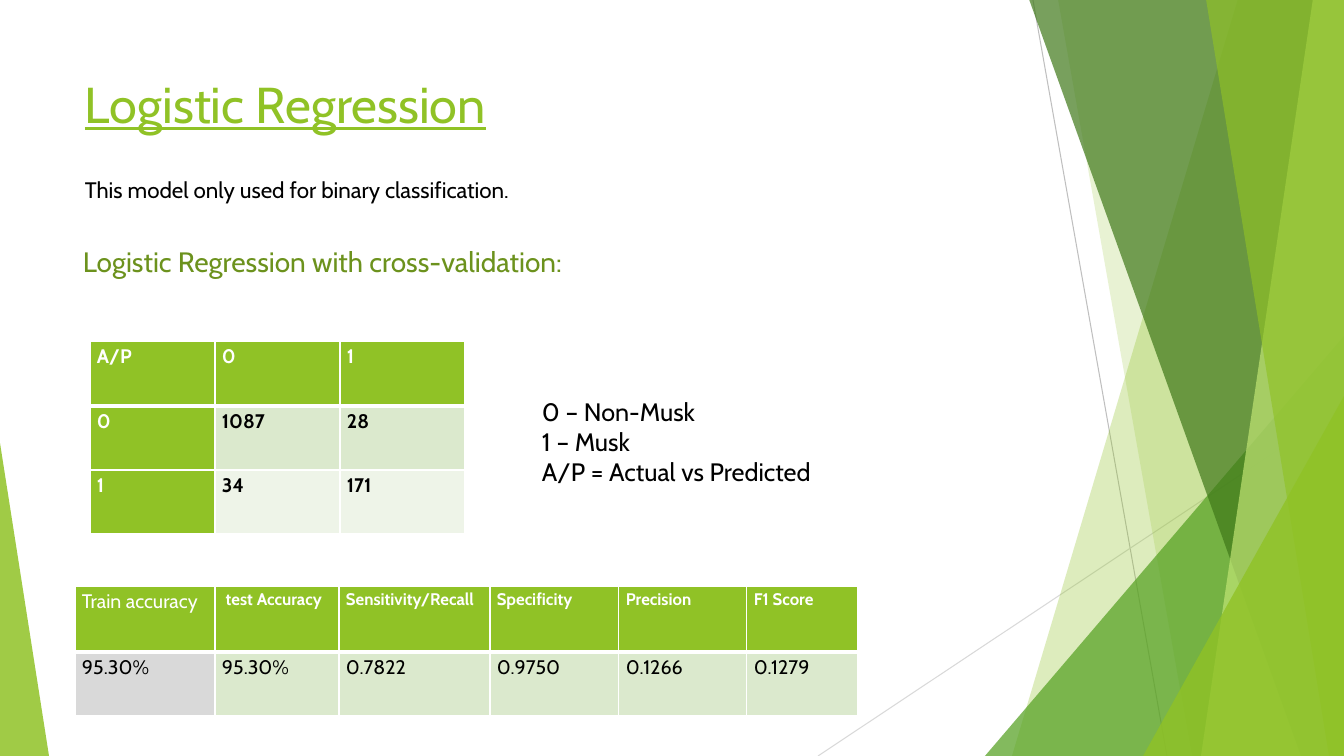
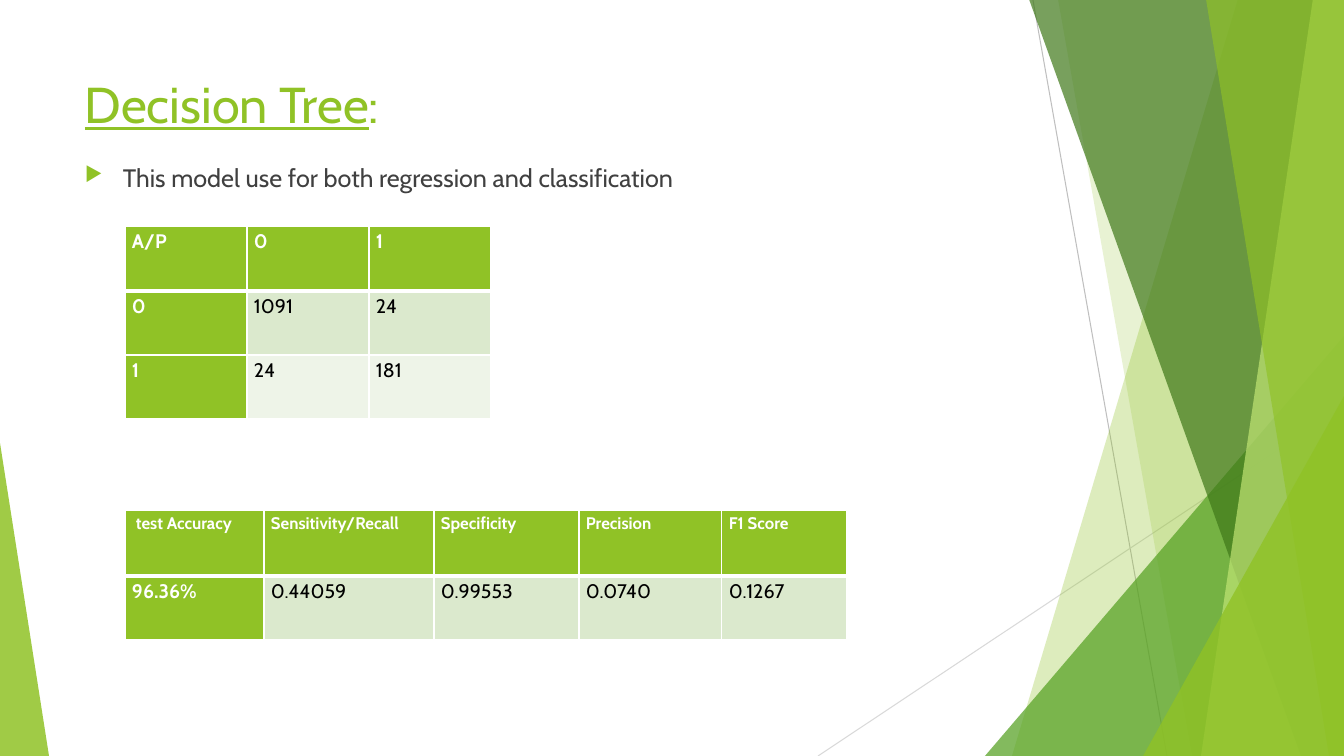
from lxml.etree import SubElement
from pptx import Presentation
from pptx.dml.color import RGBColor
from pptx.enum.shapes import MSO_CONNECTOR as CONN, MSO_SHAPE as SHAPE
from pptx.enum.text import MSO_ANCHOR as ANCHOR, MSO_AUTO_SIZE as AUTO
from pptx.oxml.ns import qn
from pptx.util import Emu, Pt

WIDTH, HEIGHT = 1344, 756
SCALE = 914400 / 100.8
FONT = "Cabin"
GREEN, MID_GREEN, DARK_GREEN, PALE_GREEN = "90C226", "54A021", "3F7819", "C0E474"
OLIVE, BLACK, WHITE, GREY_TEXT = "6C921D", "000000", "FFFFFF", "404040"
LABEL_GREY = "D9D9D9"
BANDS = ["DBE9CD", "EEF4E8"]
MATRIX_ROWS = [65, 64, 64]
SCORE_ROWS = [66, 64]


def px(n):
    """Turn picture pixels into EMU."""
    return Emu(round(n * SCALE))


def rgb(color):
    """Turn a hex string into a colour."""
    return RGBColor.from_string(color)


def style(r, size, color, bold=False, underline=False):
    """Format one run."""
    f = r.font
    f.name, f.size, f.bold, f.underline = FONT, Pt(size), bold, underline
    f.color.rgb = rgb(color)


def paint(sp, color, opacity):
    """Give a shape a see-through fill without line or shadow."""
    sp.shadow.inherit = False
    sp.fill.solid()
    sp.fill.fore_color.rgb = rgb(color)
    sp.line.fill.background()
    clr = sp._element.spPr.find(qn("a:solidFill")).find(qn("a:srgbClr"))
    SubElement(clr, qn("a:alpha"), val=str(opacity * 1000))


def line(s, x1, y1, x2, y2, color):
    """Draw a thin straight line."""
    c = s.shapes.add_connector(CONN.STRAIGHT, px(x1), px(y1), px(x2), px(y2))
    c.line.color.rgb = rgb(color)
    c.line.width = Pt(0.75)
    SubElement(c._element.spPr, qn("a:effectLst"))


def shard(s, top, bottom, color, opacity):
    """Fill the area between a slanted edge and the right slide edge."""
    fb = s.shapes.build_freeform(px(top), px(-1), scale=1.0)
    corners = [(WIDTH, -1), (WIDTH, HEIGHT), (bottom, HEIGHT)]
    fb.add_line_segments([(px(x), px(y)) for x, y in corners], close=True)
    paint(fb.convert_to_shape(), color, opacity)


def wedge(s, x, y, w, apex, color, opacity):
    """Draw a triangle that stands on the bottom slide edge."""
    sp = s.shapes.add_shape(SHAPE.ISOSCELES_TRIANGLE, px(x), px(y), px(w), px(HEIGHT - y))
    sp.adjustments[0] = apex
    paint(sp, color, opacity)


def decorate(s):
    """Draw the green facets shared by all slides."""
    line(s, 1033, 0, 1167, HEIGHT, "BFBFBF")
    line(s, WIDTH, 406, 818, HEIGHT, "D9D9D9")
    shard(s, 1238, 1012, GREEN, 30)
    shard(s, 1058, 1192, GREEN, 20)
    wedge(s, 985, 336, 359, 1, MID_GREEN, 72)
    shard(s, 1029, 1301, DARK_GREEN, 70)
    shard(s, 1313, 1201, PALE_GREEN, 70)
    shard(s, 1206, 1329, GREEN, 65)
    wedge(s, 1143, 396, 201, 1, GREEN, 80)
    wedge(s, 0, 443, 49, 0, GREEN, 85)


def text(s, x, y, w, h, lines, size, color, grow=True):
    """Add a wrapping text box and return its frame."""
    tf = s.shapes.add_textbox(px(x), px(y), px(w), px(h)).text_frame
    tf.word_wrap = True
    tf.auto_size = AUTO.SHAPE_TO_FIT_TEXT if grow else AUTO.NONE
    tf.vertical_anchor = ANCHOR.TOP
    tf.text = "\n".join(lines)
    for p in tf.paragraphs:
        for r in p.runs:
            style(r, size, color)
    return tf


def title(s, words, tail=""):
    """Add the underlined title, with an optional plain tail."""
    p = text(s, 75, 68, 948, 145, [words], 36, GREEN, grow=False).paragraphs[0]
    p.runs[0].font.underline = True
    if tail:
        r = p.add_run()
        r.text = tail
        style(r, 36, GREEN)


def bullet(p):
    """Give a paragraph the green arrow bullet."""
    p.space_before = Pt(10)
    pPr = p._p.get_or_add_pPr()
    pPr.set("marL", str(px(38)))
    pPr.set("indent", str(px(-38)))
    SubElement(SubElement(pPr, qn("a:buClr")), qn("a:srgbClr"), val=GREEN)
    SubElement(pPr, qn("a:buSzPct"), val="80000")
    SubElement(pPr, qn("a:buChar"), char="▶")


def borders(cell, top, bottom):
    """Draw white cell borders, 1 pt at the sides."""
    tcPr = cell._tc.get_or_add_tcPr()
    for side, width in zip("LRTB", (1, 1, top, bottom)):
        ln = SubElement(tcPr, qn(f"a:ln{side}"), w=str(Pt(width)))
        SubElement(SubElement(ln, qn("a:solidFill")), qn("a:srgbClr"), val=WHITE)


def fill_cell(cell, value, fill, size, color, bold):
    """Write and colour one table cell."""
    cell.margin_left = cell.margin_right = px(7)
    cell.margin_top = cell.margin_bottom = 0
    cell.fill.solid()
    cell.fill.fore_color.rgb = rgb(fill)
    p = cell.text_frame.paragraphs[0]
    p.text = value
    p.line_spacing, p.space_after = 1.15, Pt(10)
    style(p.runs[0], size, color, bold)


def table(s, x, y, widths, heights, rows, head_size=14, bold_body=False):
    """Add a table with a green header row and green first column."""
    tb = s.shapes.add_table(len(rows), len(widths), px(x), px(y),
                            px(sum(widths)), px(sum(heights))).table
    for col, w in zip(tb.columns, widths):
        col.width = px(w)
    for i, (row, h) in enumerate(zip(rows, heights)):
        tb.rows[i].height = px(h)
        for j, value in enumerate(row):
            cell = tb.cell(i, j)
            borders(cell, 3 if i == 1 else 1, 3 if i == 0 else 1)
            size = 14 if i else head_size
            if i == 0 or j == 0:
                fill_cell(cell, value, GREEN, size, WHITE, True)
            else:
                fill_cell(cell, value, BANDS[i - 1], size, BLACK, bold_body)
    return tb


def matrix(s, x, y, width, counts, bold_body=False):
    """Add a confusion matrix for the classes 0 and 1."""
    rows = [["A/P", "0", "1"]] + [[str(i), *row] for i, row in enumerate(counts)]
    table(s, x, y, [width] * 3, MATRIX_ROWS, rows, bold_body=bold_body)


def scores(s, x, y, widths, values, extra=()):
    """Add a table of model scores."""
    head = [*extra, " test Accuracy", "Sensitivity/Recall", "Specificity",
            "Precision", "F1 Score"]
    return table(s, x, y, widths, SCORE_ROWS, [head, values], head_size=12)


def logistic_regression(s):
    """Fill the logistic regression slide."""
    title(s, "Logistic Regression")
    matrix(s, 90, 341, 125, [["1087", "28"], ["34", "171"]], bold_body=True)
    text(s, 75, 171, 1008, 37, ["This model only used for binary classification."], 16, BLACK)
    text(s, 73, 240, 782, 44, ["Logistic Regression with cross-validation:"], 20, OLIVE)
    text(s, 532, 391, 323, 102,
         ["0 – Non-Musk", "1 – Musk", "A/P = Actual vs Predicted"], 18, BLACK)
    tb = scores(s, 75, 586, [140, 124, 151, 129, 128, 111],
                ["95.30%", "95.30%", "0.7822", "0.9750", "0.1266", "0.1279"],
                extra=["Train accuracy"])
    fill_cell(tb.cell(0, 0), "Train accuracy", GREEN, 14, WHITE, False)
    fill_cell(tb.cell(1, 0), "95.30%", LABEL_GREY, 14, BLACK, False)


def decision_tree(s):
    """Fill the decision tree slide."""
    title(s, "Decision Tree", ":")
    tf = text(s, 75, 157, 948, 509,
              ["This model use for both regression and classification"],
              18, GREY_TEXT, grow=False)
    bullet(tf.paragraphs[0])
    matrix(s, 125, 226, 122, [["1091", "24"], ["24", "181"]])
    scores(s, 125, 510, [139, 170, 145, 143, 125],
           ["96.36%", "0.44059", "0.99553", "0.0740", "0.1267"])


def main():
    """Build and save the slides."""
    prs = Presentation()
    prs.slide_width, prs.slide_height = px(WIDTH), px(HEIGHT)
    for build in (logistic_regression, decision_tree):
        s = prs.slides.add_slide(prs.slide_layouts[6])
        decorate(s)
        build(s)
    prs.save("out.pptx")


main()
